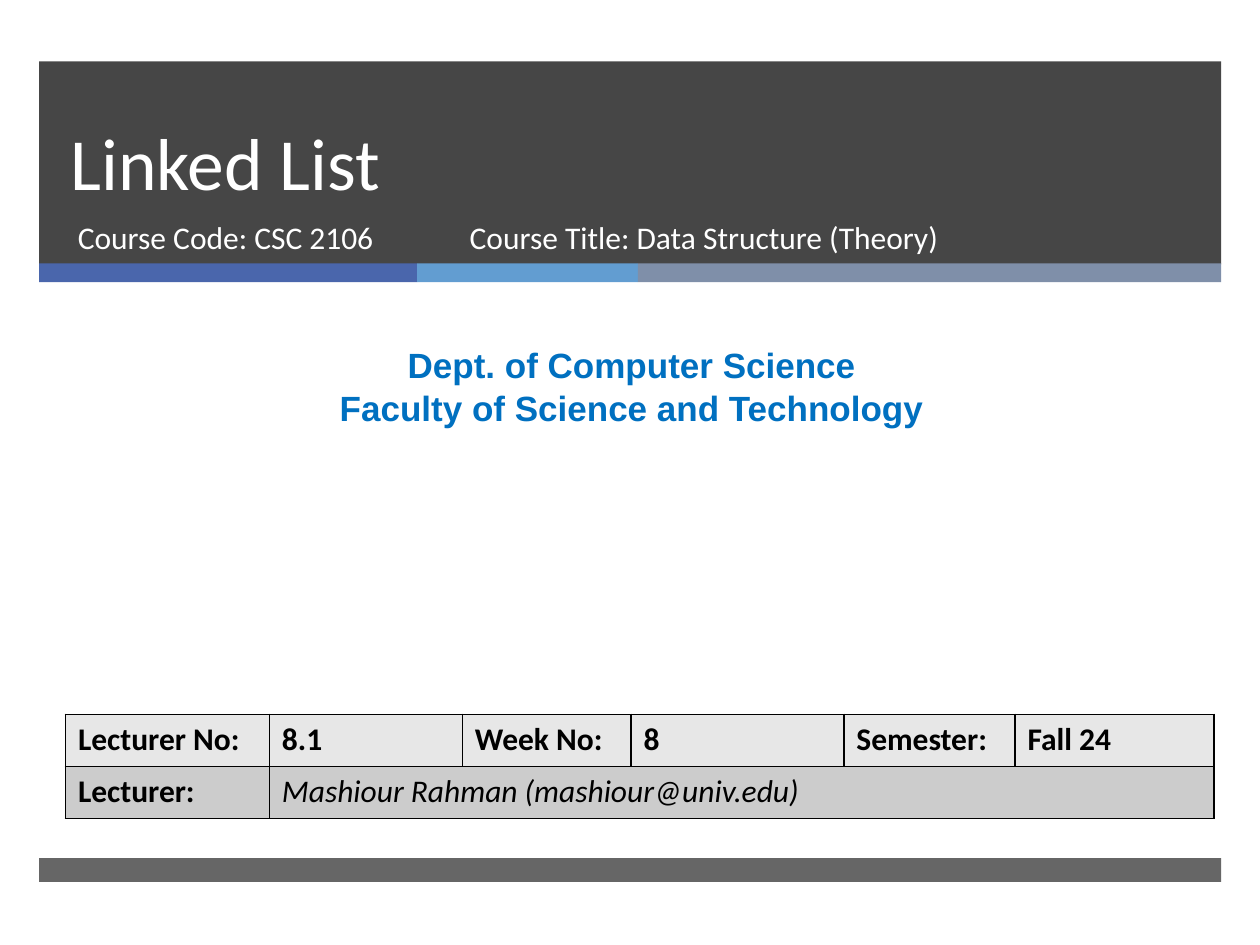
"""Build the opening slide of a lecture on linked lists."""
from dataclasses import dataclass
from itertools import accumulate

import lxml.etree
import pptx
import pptx.dml.color
import pptx.enum.shapes
import pptx.enum.text
import pptx.oxml
import pptx.oxml.ns
import pptx.util

Cm, Pt = pptx.util.Cm, pptx.util.Pt
ALIGN = pptx.enum.text.PP_ALIGN
ANCHOR = pptx.enum.text.MSO_ANCHOR
qn = pptx.oxml.ns.qn

COLORS = {
    "dark": "262626", "indigo": "4A66AC", "sky": "629DD1", "slate": "7F8FA9",
    "white": "FFFFFF", "black": "000000", "dept": "0070C0",
    "row_light": "E7E7E7", "row_dark": "CCCCCC",
}
TITLE = {"name": "Calibri", "size": Pt(42), "color": "white"}
COURSE = {"name": "Calibri", "size": Pt(18), "color": "white"}
DEPT = {"name": "Arial", "size": Pt(20), "bold": True, "color": "dept"}
LABEL = {"name": "Calibri", "size": Pt(18), "bold": True, "color": "black"}
PERSON = LABEL | {"bold": False, "italic": True}

LEFT, WIDTH = 0.79, 23.83
STRIP_WIDTHS = {"indigo": 7.62, "sky": 4.45, "slate": 11.76}
COL_WIDTHS = [4.11, 3.89, 3.4, 4.29, 3.45, 4.01]
ROW_HEIGHT = 1.05


@dataclass
class Box:
    left: float
    top: float
    width: float
    height: float

    def lengths(self) -> list:
        return [Cm(v) for v in (self.left, self.top, self.width, self.height)]


@dataclass
class Bar:
    box: Box
    color: str
    opacity: int = 100


@dataclass
class Label:
    box: Box
    lines: list
    style: dict
    align: ALIGN = ALIGN.LEFT


def rgb(key: str) -> pptx.dml.color.RGBColor:
    return pptx.dml.color.RGBColor.from_string(COLORS[key])


def write(tf, lines: list, style: dict, align: ALIGN = ALIGN.LEFT) -> None:
    for i, line in enumerate(lines):
        p = tf.add_paragraph() if i else tf.paragraphs[0]
        p.alignment = align
        r = p.add_run()
        r.text = line
        for key, value in style.items():
            if key == "color":
                r.font.color.rgb = rgb(value)
            else:
                setattr(r.font, key, value)


def draw_bar(s, bar: Bar) -> None:
    sp = s.shapes.add_shape(pptx.enum.shapes.MSO_SHAPE.RECTANGLE, *bar.box.lengths())
    sp.shadow.inherit = False
    sp.line.fill.background()
    sp.fill.solid()
    sp.fill.fore_color.rgb = rgb(bar.color)
    if bar.opacity < 100:
        clr = sp.fill._xPr.find(f".//{qn('a:srgbClr')}")
        lxml.etree.SubElement(clr, qn("a:alpha"), val=str(bar.opacity * 1000))


def draw_label(s, label: Label) -> None:
    tf = s.shapes.add_textbox(*label.box.lengths()).text_frame
    tf.word_wrap = True
    write(tf, label.lines, label.style, label.align)


def draw_title(s, text: str, box: Box) -> None:
    sp = s.shapes.title
    s.shapes._spTree.append(sp._element)
    sp.left, sp.top, sp.width, sp.height = box.lengths()
    tf = sp.text_frame
    tf.auto_size = pptx.enum.text.MSO_AUTO_SIZE.NONE
    tf.vertical_anchor = ANCHOR.BOTTOM
    write(tf, [text], TITLE)
    tf.paragraphs[0].line_spacing = Pt(46)


def format_cell(cell, color: str) -> None:
    cell.fill.solid()
    cell.fill.fore_color.rgb = rgb(color)
    tc_pr = cell._tc.get_or_add_tcPr()
    for i, side in enumerate(("lnL", "lnR", "lnT", "lnB")):
        ln = lxml.etree.Element(qn(f"a:{side}"), w=str(Pt(1)))
        fill = lxml.etree.SubElement(ln, qn("a:solidFill"))
        lxml.etree.SubElement(fill, qn("a:srgbClr"), val=COLORS["black"])
        tc_pr.insert(i, ln)


def draw_table(s, left: float, top: float, rows: list) -> None:
    box = Box(left, top, sum(COL_WIDTHS), ROW_HEIGHT * len(rows))
    table = s.shapes.add_table(len(rows), len(COL_WIDTHS), *box.lengths()).table
    table.first_row = table.horz_banding = False
    for col, width in zip(table.columns, COL_WIDTHS):
        col.width = Cm(width)
    for row, color in zip(table.rows, ("row_light", "row_dark")):
        row.height = Cm(ROW_HEIGHT)
        for cell in row.cells:
            format_cell(cell, color)
    table.cell(1, 1).merge(table.cell(1, len(COL_WIDTHS) - 1))
    for i, entries in enumerate(rows):
        for j, (text, style) in enumerate(entries):
            write(table.cell(i, j).text_frame, [text], style)


def main() -> None:
    prs = pptx.Presentation()
    prs.slide_width, prs.slide_height = Cm(25.4), Cm(19.05)
    s = prs.slides.add_slide(prs.slide_layouts[5])

    starts = accumulate(STRIP_WIDTHS.values(), initial=LEFT)
    strips = [Bar(Box(x, 5.31, width, 0.38), color)
              for x, (color, width) in zip(starts, STRIP_WIDTHS.items())]
    header = Bar(Box(LEFT, 1.24, WIDTH, 4.09), "dark", 85)
    footer = Bar(Box(LEFT, 17.3, WIDTH, 0.48), "dark", 70)
    for bar in (header, *strips, footer):
        draw_bar(s, bar)

    draw_title(s, "Linked List", Box(1.17, 1.24, 21.69, 3.02))
    labels = [
        Label(Box(1.32, 4.27, 7.75, 1.35), ["Course Code: CSC 2106"], COURSE),
        Label(Box(9.22, 4.27, 11.56, 1.35),
              ["Course Title: Data Structure (Theory)"], COURSE),
        Label(Box(0.2, 6.81, 25.07, 1.96),
              ["Dept. of Computer Science", "Faculty of Science and Technology"],
              DEPT, ALIGN.CENTER),
    ]
    for label in labels:
        draw_label(s, label)

    facts = ["Lecturer No:", "8.1", "Week No:", "8", "Semester:", "Fall 24"]
    draw_table(s, 1.32, 14.4, [
        [(text, LABEL) for text in facts],
        [("Lecturer:", LABEL), ("Mashiour Rahman (mashiour@univ.edu)", PERSON)],
    ])
    prs.save("out.pptx")


if __name__ == "__main__":
    main()
